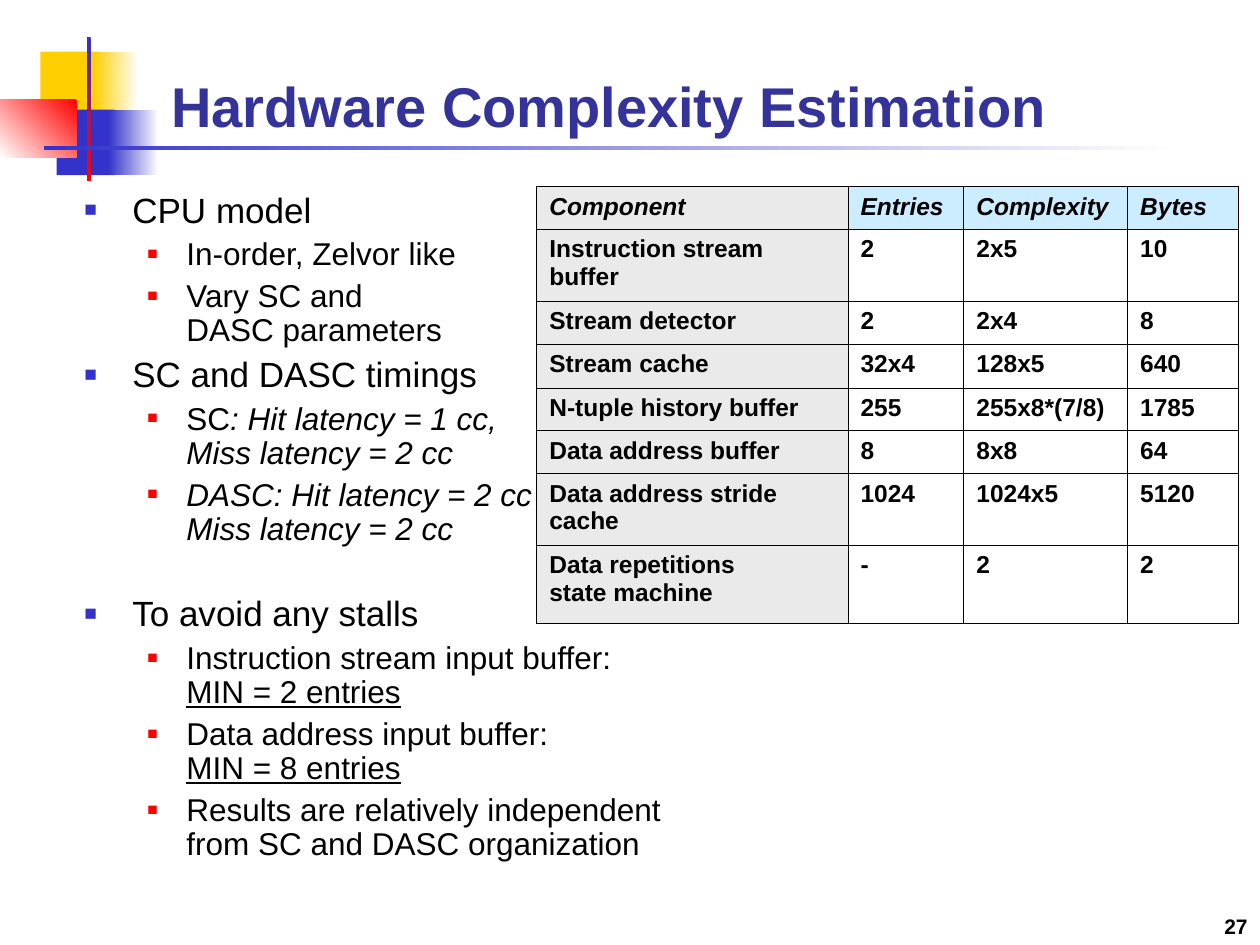
from dataclasses import dataclass
from typing import NamedTuple, Optional

from lxml.etree import SubElement
from pptx import Presentation
from pptx.dml.color import RGBColor
from pptx.enum.shapes import MSO_SHAPE
from pptx.enum.text import MSO_ANCHOR, MSO_AUTO_SIZE, PP_ALIGN
from pptx.oxml.ns import qn
from pptx.util import Inches, Pt

FONT = "Arial"
COLORS = {
    "title": "333399", "text": "000000", "blue": "3333CC", "red": "FF0000",
    "yellow": "FFCF01", "white": "FFFFFF", "label": "EAEAEA", "header": "CCECFF",
}


def rgb(name: str) -> RGBColor:
    return RGBColor.from_string(COLORS[name])


class Block(NamedTuple):
    left: float
    top: float
    width: float
    height: float
    color: str
    fade_to: Optional[str] = None
    angle: int = 180  # counter-clockwise


class Phrase(NamedTuple):
    text: str
    italic: bool = False
    underline: bool = False


@dataclass
class Bullet:
    level: int
    phrases: list[Phrase]
    space_before: Optional[float] = None


class Level(NamedTuple):
    size: float
    margin: float
    hanging: float
    space_before: float
    bullet_color: str
    bullet_percent: int


BLOCKS = [
    Block(0.32, 0.41, 0.48, 0.52, "yellow"),
    Block(0.74, 0.41, 0.36, 0.52, "white", "yellow"),
    Block(0.45, 0.87, 0.46, 0.52, "blue"),
    Block(0.86, 0.87, 0.4, 0.52, "white", "blue"),
    Block(0, 0.79, 0.61, 0.46, "red", "white", 225),
    Block(0.69, 0.29, 0.03, 1.15, "blue", "red", 270),
    Block(0.35, 1.16, 9, 0.03, "white", "blue"),
]

LEVELS = [
    Level(20, 0.38, 0.38, 5, "blue", 60),
    Level(18, 0.81, 0.31, 4.5, "red", 55),
]

BULLETS = [
    Bullet(0, [Phrase("CPU model")], 0),
    Bullet(1, [Phrase("In-order, Zelvor like")]),
    Bullet(1, [Phrase("Vary SC and \nDASC parameters")]),
    Bullet(0, [Phrase("SC and DASC timings")]),
    Bullet(1, [Phrase("SC"), Phrase(": Hit latency = 1 cc, \nMiss latency = 2 cc", italic=True)]),
    Bullet(1, [Phrase("DASC: Hit latency = 2 cc \nMiss latency = 2 cc", italic=True)]),
    Bullet(0, [Phrase("To avoid any stalls")], 28.5),
    Bullet(1, [Phrase("Instruction stream input buffer: \n"),
               Phrase("MIN = 2 entries", underline=True)]),
    Bullet(1, [Phrase("Data address input buffer: \n"),
               Phrase("MIN = 8 entries", underline=True)]),
    Bullet(1, [Phrase("Results are relatively independent from SC and DASC organization")]),
]

COLUMN_WIDTHS = [2.47, 0.92, 1.3, 0.88]
ROW_HEIGHTS = [0.34, 0.57, 0.34, 0.35, 0.34, 0.34, 0.57, 0.62]
COMPONENTS = [
    ("Component", "Entries", "Complexity", "Bytes"),
    ("Instruction stream buffer", "2", "2x5", "10"),
    ("Stream detector", "2", "2x4", "8"),
    ("Stream cache", "32x4", "128x5", "640"),
    ("N-tuple history buffer", "255", "255x8*(7/8)", "1785"),
    ("Data address buffer", "8", "8x8", "64"),
    ("Data address stride cache", "1024", "1024x5", "5120"),
    ("Data repetitions \nstate machine", "-", "2", "2"),
]


def write_text(paragraph, text: str, *, size: float, color: str = "text", bold: bool = False,
               italic: bool = False, underline: bool = False) -> None:
    for index, line in enumerate(text.split("\n")):
        if index:
            paragraph.add_line_break()
        if not line:
            continue
        run = paragraph.add_run()
        run.text = line
        run.font.name = FONT
        run.font.size = Pt(size)
        run.font.bold = bold
        run.font.italic = italic
        run.font.underline = underline
        run.font.color.rgb = rgb(color)


def place(shape, left: float, top: float, width: float, height: float) -> None:
    shape.left, shape.top = Inches(left), Inches(top)
    shape.width, shape.height = Inches(width), Inches(height)


def draw_block(slide, block: Block) -> None:
    shape = slide.shapes.add_shape(MSO_SHAPE.RECTANGLE, *map(Inches, block[:4]))
    shape.shadow.inherit = False
    shape.line.fill.background()
    if block.fade_to is None:
        shape.fill.solid()
        shape.fill.fore_color.rgb = rgb(block.color)
        return
    shape.fill.gradient()
    shape.fill.gradient_angle = block.angle
    for stop, color in zip(shape.fill.gradient_stops, (block.color, block.fade_to)):
        stop.color.rgb = rgb(color)


def add_bullet(paragraph, bullet: Bullet) -> None:
    level = LEVELS[bullet.level]
    paragraph.level = bullet.level
    properties = paragraph._p.get_or_add_pPr()
    properties.set("marL", str(Inches(level.margin)))
    properties.set("indent", str(-Inches(level.hanging)))
    bullet_color = SubElement(properties, qn("a:buClr"))
    SubElement(bullet_color, qn("a:srgbClr"), val=COLORS[level.bullet_color])
    SubElement(properties, qn("a:buSzPct"), val=str(level.bullet_percent * 1000))
    SubElement(properties, qn("a:buFont"), typeface=FONT)
    SubElement(properties, qn("a:buChar"), char="■")
    paragraph.line_spacing = 0.9
    before = level.space_before if bullet.space_before is None else bullet.space_before
    paragraph.space_before = Pt(before)
    for phrase in bullet.phrases:
        write_text(paragraph, phrase.text, size=level.size, italic=phrase.italic,
                   underline=phrase.underline)


def add_borders(cell) -> None:
    properties = cell._tc.get_or_add_tcPr()
    for side in ("lnL", "lnR", "lnT", "lnB"):
        line = SubElement(properties, qn(f"a:{side}"), w=str(Pt(0.45)))
        fill = SubElement(line, qn("a:solidFill"))
        SubElement(fill, qn("a:srgbClr"), val=COLORS["text"])


def draw_component_table(slide) -> None:
    table = slide.shapes.add_table(
        len(COMPONENTS), len(COLUMN_WIDTHS), Inches(4.26), Inches(1.48),
        Inches(sum(COLUMN_WIDTHS)), Inches(sum(ROW_HEIGHTS))).table
    table.first_row = table.horz_banding = False
    for column, width in zip(table.columns, COLUMN_WIDTHS):
        column.width = Inches(width)
    for row, height in zip(table.rows, ROW_HEIGHTS):
        row.height = Inches(height)
    for r, component in enumerate(COMPONENTS):
        for c, value in enumerate(component):
            cell = table.cell(r, c)
            add_borders(cell)
            if c and r:
                cell.fill.background()
            else:
                cell.fill.solid()
                cell.fill.fore_color.rgb = rgb("header" if c else "label")
            write_text(cell.text_frame.paragraphs[0], value, size=14, bold=True, italic=r == 0)


def main() -> None:
    deck = Presentation()
    deck.slide_width, deck.slide_height = Inches(10), Inches(7.5)
    slide = deck.slides.add_slide(deck.slide_layouts[1])
    title, body = slide.placeholders

    # Corner ornament, kept behind the text
    for block in BLOCKS:
        draw_block(slide, block)
    for placeholder in (title, body):
        placeholder.element.getparent().append(placeholder.element)
        placeholder.text_frame.auto_size = MSO_AUTO_SIZE.NONE

    # Title
    place(title, 1.26, 0.17, 8.52, 0.98)
    title.text_frame.vertical_anchor = MSO_ANCHOR.BOTTOM
    heading = title.text_frame.paragraphs[0]
    heading.alignment = PP_ALIGN.LEFT
    write_text(heading, "Hardware Complexity Estimation", size=32, color="title", bold=True)

    # Bulleted list
    place(body, 0.57, 1.48, 4.96, 5.44)
    for index, bullet in enumerate(BULLETS):
        frame = body.text_frame
        add_bullet(frame.add_paragraph() if index else frame.paragraphs[0], bullet)

    draw_component_table(slide)

    # Page number
    page_number = slide.shapes.add_textbox(Inches(7.92), Inches(7), Inches(2.08), Inches(0.5))
    page_number.text_frame.word_wrap = True
    page_number.text_frame.vertical_anchor = MSO_ANCHOR.BOTTOM
    page_number.text_frame.paragraphs[0].alignment = PP_ALIGN.RIGHT
    write_text(page_number.text_frame.paragraphs[0], "27", size=12, bold=True)

    deck.save("out.pptx")


if __name__ == "__main__":
    main()
